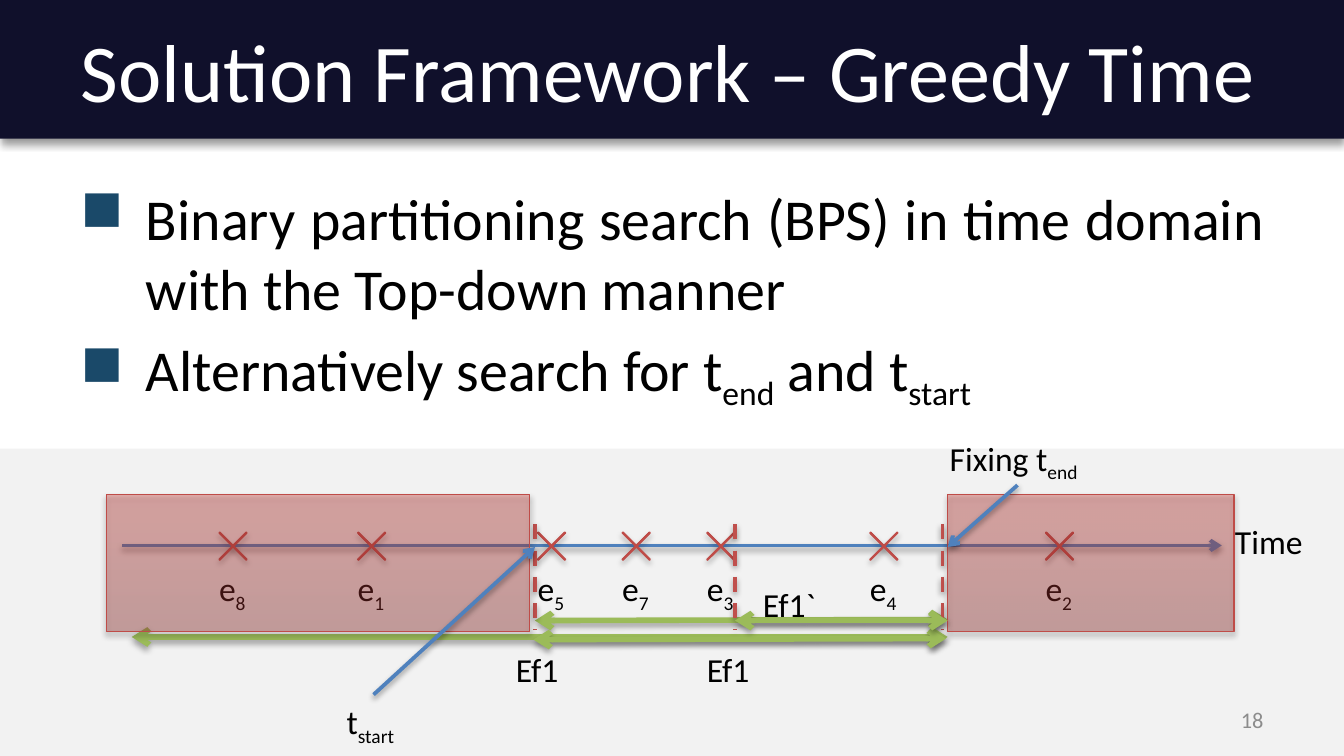
from dataclasses import dataclass
from typing import Any, NamedTuple

from lxml import etree
from pptx import Presentation
from pptx import util as u
from pptx.dml.color import RGBColor
from pptx.enum import dml, shapes, text
from pptx.oxml.ns import qn


class Shadow(NamedTuple):
    alpha: int
    blur: float
    dist: float


class Box(NamedTuple):
    x: float
    y: float
    w: float
    h: float

    def emu(self) -> list[u.Length]:
        return [u.Cm(v) for v in self]


@dataclass(frozen=True)
class Theme:
    font: str = "Calibri"
    navy: str = "10102B"
    panel: str = "F2F2F2"
    white: str = "FFFFFF"
    black: str = "000000"
    grey: str = "8C8C8C"
    bullet: str = "1A4969"
    blue: str = "4F81BD"
    green: str = "9BBB59"
    red: str = "C0504D"
    outline: str = "BF4C48"
    gradient: tuple = ((0, "9C2F2D"), (80, "CB3E3A"), (100, "CE3B37"))
    title: int = 44
    body: int = 31
    label: int = 18
    number: int = 12
    bar_shadow: Shadow = Shadow(40, 4, 3)
    line_shadow: Shadow = Shadow(38, 3.1, 1.6)
    soft_shadow: Shadow = Shadow(35, 3.1, 1.8)


T = Theme()
AXIS_Y = 10.31
LABEL_H = 1.02
T_START, T_MID, T_END = 10.11, 13.89, 17.91


@dataclass(frozen=True)
class Line:
    x1: float
    y1: float
    x2: float
    y2: float
    color: str = T.blue
    width: float = 2
    head: bool = False
    tail: bool = True
    dash: bool = False
    shadow: Shadow = T.line_shadow


@dataclass(frozen=True)
class Label:
    x: float
    y: float
    w: float
    words: tuple[str, ...]


@dataclass(frozen=True)
class Event:
    x: float
    number: str


def span(x1: float, y1: float, x2: float, y2: float) -> Line:
    return Line(x1, y1, x2, y2, T.green, 3, head=True, shadow=T.soft_shadow)


def divider(x: float) -> Line:
    return Line(x, 9.91, x, 11.91, T.red, tail=False, dash=True)


def apply(obj: Any, fmt: dict[str, Any]) -> None:
    for name, value in fmt.items():
        setattr(obj, name, value)


def node(parent: Any, tag: str, **attrs: Any) -> Any:
    return etree.SubElement(parent, qn(tag), {k: str(v) for k, v in attrs.items()})


def add_color(parent: Any, color: str, alpha: int = 100) -> None:
    clr = node(parent, "a:srgbClr", val=color)
    if alpha < 100:
        node(clr, "a:alpha", val=alpha * 1000)


def add_shadow(sp: Any, shadow: Shadow) -> None:
    effects = node(sp._element.spPr, "a:effectLst")
    outer = node(effects, "a:outerShdw", blurRad=u.Pt(shadow.blur), dist=u.Pt(shadow.dist),
                 dir=5400000, rotWithShape=0)
    add_color(outer, T.black, shadow.alpha)


def add_runs(p: Any, words: tuple[str, ...], size: int, color: str) -> None:
    for i, word in enumerate(words):
        r = p.add_run()
        r.text = word
        apply(r.font, {"name": T.font, "size": u.Pt(size)})
        r.font.color.rgb = RGBColor.from_string(color)
        if i % 2:
            r._r.get_or_add_rPr().set("baseline", "-25000")


def add_text(parent: Any, box: Box, paragraphs: list[tuple[str, ...]], size: int,
             color: str = T.black, **frame: Any) -> Any:
    tf = parent.add_textbox(*box.emu()).text_frame
    apply(tf, {"word_wrap": True, "auto_size": text.MSO_AUTO_SIZE.NONE} | frame)
    for i, words in enumerate(paragraphs):
        p = tf.add_paragraph() if i else tf.paragraphs[0]
        add_runs(p, words, size, color)
    return tf


def add_label(parent: Any, label: Label) -> None:
    add_text(parent, Box(label.x, label.y, label.w, LABEL_H), [label.words], T.label,
             word_wrap=False, auto_size=text.MSO_AUTO_SIZE.SHAPE_TO_FIT_TEXT)


def add_panel(s: Any, box: Box, color: str, shadow: Shadow | None = None) -> None:
    sp = s.shapes.add_shape(shapes.MSO_SHAPE.RECTANGLE, *box.emu())
    sp.fill.solid()
    sp.fill.fore_color.rgb = RGBColor.from_string(color)
    sp.line.fill.background()
    if shadow:
        add_shadow(sp, shadow)
    else:
        sp.shadow.inherit = False


def add_red_shape(parent: Any, kind: Any, box: Box, alpha: int = 100) -> Any:
    sp = parent.add_shape(kind, *box.emu())
    sp.line.color.rgb = RGBColor.from_string(T.outline)
    sp.line.width = u.Pt(0.75)
    grad = etree.Element(qn("a:gradFill"), rotWithShape="1")
    stops = node(grad, "a:gsLst")
    for pos, color in T.gradient:
        add_color(node(stops, "a:gs", pos=pos * 1000), color, alpha)
    node(grad, "a:lin", ang=16200000, scaled=0)
    sp._element.spPr.find(qn("a:prstGeom")).addnext(grad)
    add_shadow(sp, T.soft_shadow)
    return sp


def add_event(s: Any, event: Event) -> None:
    group = s.shapes.add_group_shape().shapes
    mark = add_red_shape(group, shapes.MSO_SHAPE.MATH_MULTIPLY, Box(event.x, 9.83, 0.99, 0.99))
    mark.adjustments[0] = 0.02
    add_label(group, Label(event.x - 0.02, 10.62, 1.04, ("e", event.number)))


def add_line(s: Any, line: Line) -> None:
    ends = [u.Cm(v) for v in (line.x1, line.y1, line.x2, line.y2)]
    c = s.shapes.add_connector(shapes.MSO_CONNECTOR.STRAIGHT, *ends)
    c.line.color.rgb = RGBColor.from_string(line.color)
    c.line.width = u.Pt(line.width)
    if line.dash:
        c.line.dash_style = dml.MSO_LINE.DASH
    ln = c._element.spPr.find(qn("a:ln"))
    for tag, shown in (("a:headEnd", line.head), ("a:tailEnd", line.tail)):
        if shown:
            node(ln, tag, type="arrow")
    add_shadow(c, line.shadow)


def add_body(s: Any) -> None:
    tf = add_text(s.shapes, Box(1.27, 3.33, 22.86, 5), [
        ("Binary partitioning search (BPS) in time domain with the Top-down manner",),
        ("Alternatively search for t", "end", " and t", "start"),
    ], T.body)
    for p in tf.paragraphs:
        apply(p, {"alignment": text.PP_ALIGN.JUSTIFY, "space_before": u.Pt(6.2)})
        pPr = p._p.get_or_add_pPr()
        pPr.set("marL", str(u.Cm(1.24)))
        pPr.set("indent", str(-u.Cm(1.24)))
        add_color(node(pPr, "a:buClr"), T.bullet)
        node(pPr, "a:buChar", char="■")


def main() -> None:
    prs = Presentation()
    apply(prs, {"slide_width": u.Cm(25.4), "slide_height": u.Cm(14.29)})
    s = prs.slides.add_slide(prs.slide_layouts[6])

    add_panel(s, Box(0, 8.48, 25.4, 5.81), T.panel)
    add_panel(s, Box(0, 0, 25.4, 2.62), T.navy, T.bar_shadow)
    add_body(s)
    middle = {"vertical_anchor": text.MSO_ANCHOR.MIDDLE}
    add_text(s.shapes, Box(1.27, 0.13, 22.86, 2.39), [("Solution Framework – Greedy Time",)],
             T.title, T.white, **middle)
    number = add_text(s.shapes, Box(18.21, 13.23, 5.92, 0.76), [("18",)], T.number, T.grey, **middle)
    number.paragraphs[0].alignment = text.PP_ALIGN.RIGHT

    add_line(s, span(T_START, 11.73, T_END, 11.71))
    add_line(s, Line(2.31, AXIS_Y, 23.09, AXIS_Y))
    for x, digit in zip((3.91, 6.53, 9.93, 11.53, 13.13, 16.21, 19.53), "8157342"):
        add_event(s, Event(x, digit))
    for line in (divider(T_START), span(2.49, 12.04, T_END, 12.04), divider(17.81)):
        add_line(s, line)
    for x, w in ((T_END, 5.41), (2.01, 8)):
        add_red_shape(s.shapes, shapes.MSO_SHAPE.RECTANGLE, Box(x, 9.35, w, 2.59), alpha=35)
    for line in (
        Line(19.23, 9.17, T_END, 10.34),
        divider(T_MID),
        span(10.08, 12.09, 17.88, 12.07),
        span(T_MID, 11.73, T_END, 11.73),
        Line(7.06, 13.13, T_START, 10.34),
    ):
        add_line(s, line)
    for label in (
        Label(23.09, 9.73, 1.8, ("Time",)),
        Label(9.5, 12.14, 1.35, ("Ef1",)),
        Label(13.11, 12.14, 1.35, ("Ef1",)),
        Label(14.17, 10.92, 1.52, ("Ef1`",)),
        Label(17.7, 8.15, 3.02, ("Fixing t", "end")),
        Label(6.3, 13.13, 1.52, ("t", "start")),
    ):
        add_label(s.shapes, label)
    prs.save("out.pptx")


if __name__ == "__main__":
    main()
